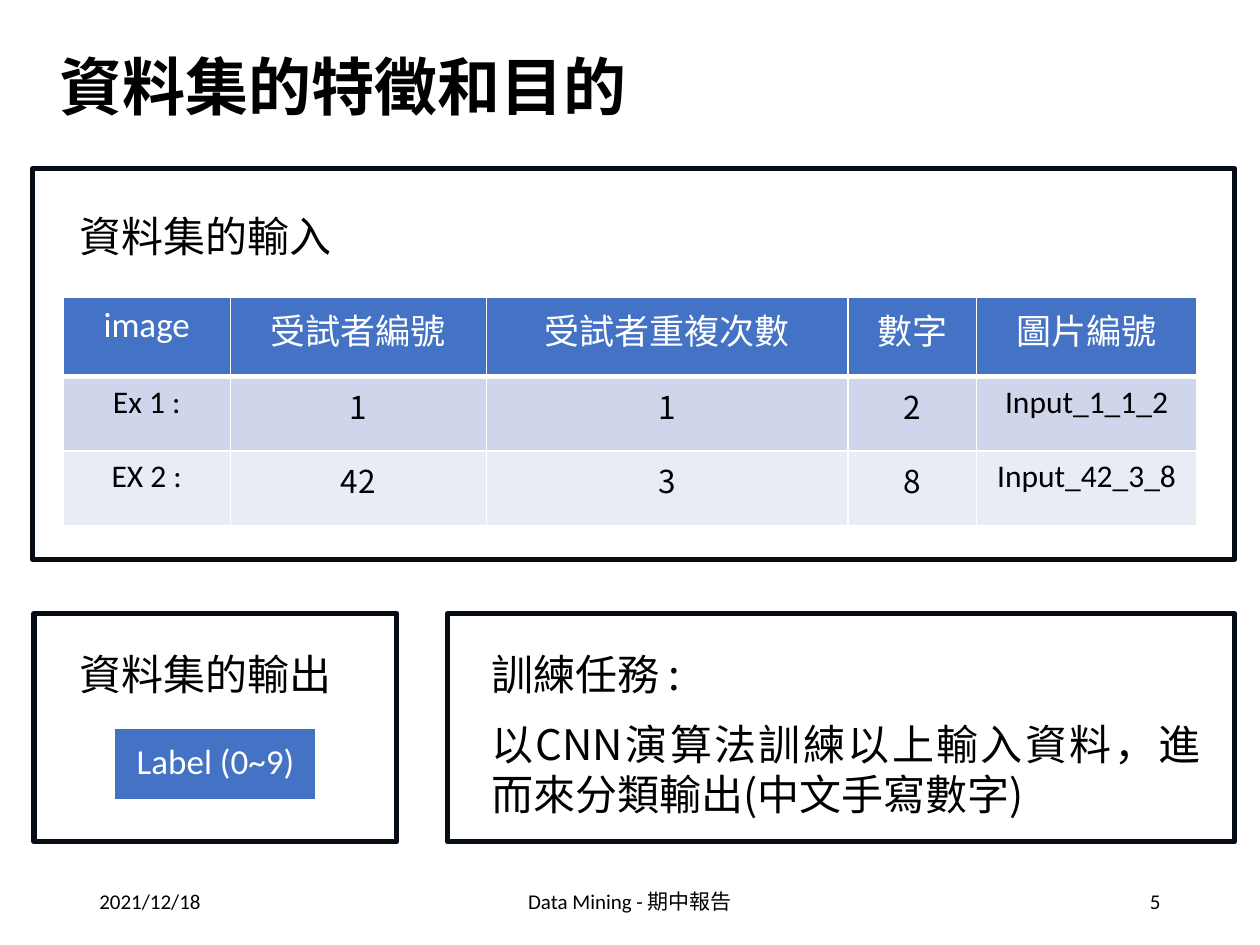
import pptx
import pptx.util
import pptx.dml.color
import pptx.enum.shapes
import pptx.enum.text
import pptx.oxml
import pptx.oxml.ns

Inches = pptx.util.Inches
Pt = pptx.util.Pt
Align = pptx.enum.text.PP_ALIGN
Anchor = pptx.enum.text.MSO_ANCHOR
Fit = pptx.enum.text.MSO_AUTO_SIZE

COLORS = {
    "ink": "000000",
    "white": "FFFFFF",
    "frame": "070D16",
    "head": "4472C4",
    "odd": "CFD5EA",
    "even": "E9EBF5",
}
SANS = "Calibri"
HAN = "Noto Sans CJK SC"


class Deck:
    def __init__(self, width, height):
        self.file = pptx.Presentation()
        self.file.slide_width = Inches(width)
        self.file.slide_height = Inches(height)
        self.slide = self.file.slides.add_slide(self.file.slide_layouts[6])

    def color(self, name):
        return pptx.dml.color.RGBColor.from_string(COLORS[name])

    def run(self, para, words, size, font=HAN, color="ink", bold=False):
        run = para.add_run()
        run.text = words
        run.font.size = Pt(size)
        run.font.bold = bold
        run.font.color.rgb = self.color(color)
        run.font.name = font
        east = pptx.oxml.parse_xml(
            f'<a:ea {pptx.oxml.ns.nsdecls("a")} typeface="{HAN}"/>')
        run._r.get_or_add_rPr().append(east)

    def text(self, box, words, size, font=HAN, align=Align.LEFT,
             bold=False, wrap=True, grow=True):
        shape = self.slide.shapes.add_textbox(*map(Inches, box))
        frame = shape.text_frame
        frame.word_wrap = wrap
        frame.auto_size = Fit.SHAPE_TO_FIT_TEXT if grow else Fit.NONE
        frame.vertical_anchor = Anchor.TOP if grow else Anchor.MIDDLE
        para = frame.paragraphs[0]
        para.alignment = align
        self.run(para, words, size, font, bold=bold)

    def frame(self, box):
        kind = pptx.enum.shapes.MSO_SHAPE.RECTANGLE
        shape = self.slide.shapes.add_shape(kind, *map(Inches, box))
        shape.shadow.inherit = False
        shape.fill.background()
        shape.line.color.rgb = self.color("frame")
        shape.line.width = Pt(3)

    def cell(self, cell, runs, fill, align, base):
        cell.fill.solid()
        cell.fill.fore_color.rgb = self.color(fill)
        para = cell.text_frame.paragraphs[0]
        para.alignment = align
        for words, size, font, color in runs:
            self.run(para, words, size, font, color)
        edges = {"L": 1, "R": 1, "T": 1, "B": base}
        for spot, (side, width) in enumerate(edges.items()):
            line = pptx.oxml.parse_xml(
                f'<a:ln{side} {pptx.oxml.ns.nsdecls("a")} w="{Pt(width)}">'
                f'<a:solidFill><a:srgbClr val="{COLORS["white"]}"/></a:solidFill>'
                f'</a:ln{side}>')
            cell._tc.get_or_add_tcPr().insert(spot, line)

    def table(self, left, top, cols, rows, cells, fills, align):
        box = (left, top, sum(cols), sum(rows))
        grid = self.slide.shapes.add_table(
            len(rows), len(cols), *map(Inches, box)).table
        grid.first_row = False
        grid.horz_banding = False
        for col, width in zip(grid.columns, cols):
            col.width = Inches(width)
        for row, height in zip(grid.rows, rows):
            row.height = Inches(height)
        for r, line in enumerate(cells):
            for c, runs in enumerate(line):
                self.cell(grid.cell(r, c), runs, fills[r], align,
                          3 if r == 0 else 1)


def main():
    deck = Deck(10, 7.5)
    deck.text((0.37, 0.33, 9.35, 0.71), "資料集的特徵和目的", 36, bold=True)

    for left, width, words, align in (
        (7.06, 2.25, "5", Align.RIGHT),
        (0.69, 2.25, "2021/12/18", Align.LEFT),
        (3.31, 3.38, "Data Mining - 期中報告", Align.CENTER),
    ):
        deck.text((left, 6.95, width, 0.4), words, 12, SANS, align, grow=False)

    for left, top, width, words in (
        (0.53, 1.62, 2.22, "資料集的輸入"),
        (0.53, 5.1, 2.22, "資料集的輸出"),
        (3.8, 5.1, 1.79, "訓練任務 :"),
    ):
        deck.text((left, top, width, 0.5), words, 24, wrap=False)

    label = [(" ", 24, SANS, "white"), ("Label (0~9)", 20, SANS, "white")]
    deck.table(0.91, 5.78, [1.6], [0.58], [[label]], ["head"], Align.LEFT)

    for box in (
        (0.27, 4.87, 2.88, 1.81),
        (0.26, 1.34, 9.54, 3.1),
        (3.55, 4.87, 6.25, 1.81),
    ):
        deck.frame(box)

    deck.text((3.8, 5.65, 5.83, 0.91),
              "以CNN演算法訓練以上輸入資料，進而來分類輸出(中文手寫數字) ",
              24, align=Align.JUSTIFY)

    data = (
        ("image", "受試者編號", "受試者重複次數", "數字", "圖片編號"),
        ("Ex 1 :", "1", "1", "2", "Input_1_1_2"),
        ("EX 2 :", "42", "3", "8", "Input_42_3_8"),
    )
    cells = []
    for r, row in enumerate(data):
        size, color = (18, "ink") if r else (20, "white")
        plain = (0, 4) if r else (0,)
        cells.append([[(words, size, SANS if c in plain else HAN, color)]
                      for c, words in enumerate(row)])
    deck.table(0.5, 2.36, [1.33, 2.03, 2.87, 1.02, 1.75],
               [0.63, 0.59, 0.59], cells, ["head", "odd", "even"],
               Align.CENTER)

    deck.file.save("out.pptx")


if __name__ == "__main__":
    main()
